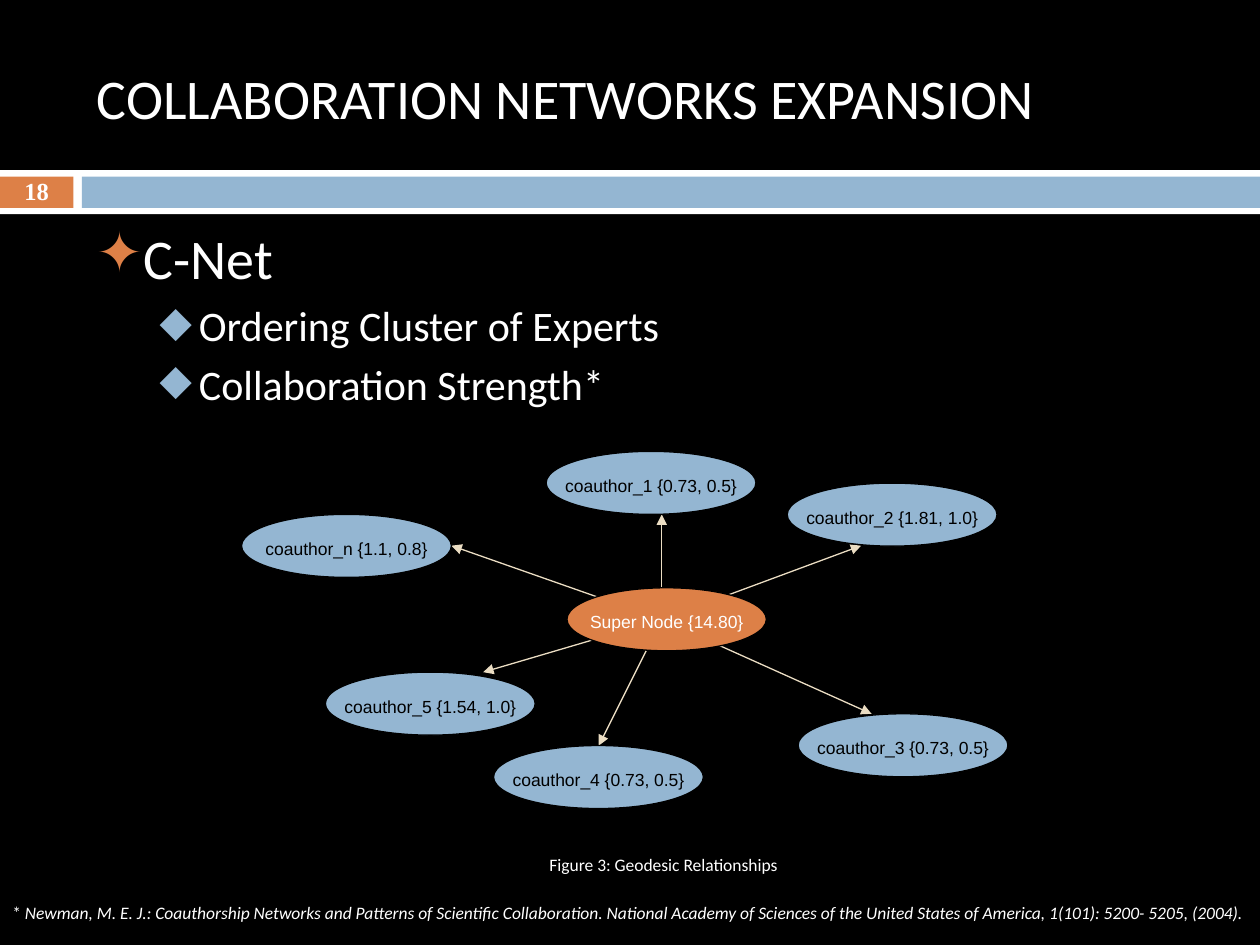
from lxml.etree import SubElement
from pptx import Presentation
from pptx.dml.color import RGBColor
from pptx.enum.shapes import MSO_CONNECTOR, MSO_SHAPE
from pptx.enum.text import MSO_ANCHOR, PP_ALIGN
from pptx.oxml.ns import qn
from pptx.util import Cm, Pt

HUES = {"black": "000000", "white": "FFFFFF", "blue": "94B6D2",
        "orange": "DD8047", "sand": "EBDDC3"}
NODE_W, NODE_H = 4.23, 1.27
# label, left and top of the node, tip of its arrow (cm within the network)
PEERS = [
    ("coauthor_1 {0.73, 0.5}", 6.14, 0, 8.47, 1.27),
    ("coauthor_2 {1.81, 1.0}", 11, 0.64, 12.49, 1.9),
    ("coauthor_3 {0.73, 0.5}", 11.22, 5.29, 12.7, 5.29),
    ("coauthor_4 {0.73, 0.5}", 5.08, 5.93, 7.2, 5.93),
    ("coauthor_5 {1.54, 1.0}", 1.69, 4.45, 4.87, 4.45),
    ("coauthor_n {1.1, 0.8}", 0, 1.27, 4.23, 1.9),
]
POINTS = [
    # level, text, size, bullet, bullet hue, margin, hang, space before
    (0, "C-Net", 32, "✦", "orange", 0.89, 0.89, 7),
    (1, "Ordering Cluster of Experts", 24, "◆", "blue", 2.06, 0.79, 5.5),
    (1, "Collaboration Strength*", 24, "◆", "blue", 2.06, 0.79, 5.5),
]


def hue(name):
    return RGBColor.from_string(HUES[name])


def box(x, y, w, h):
    return Cm(x), Cm(y), Cm(w), Cm(h)


def add_run(par, text, size, font="Calibri", color="white", bold=False, italic=False):
    run = par.add_run()
    run.text = text
    run.font.size = Pt(size)
    run.font.name = font
    run.font.bold = bold
    run.font.italic = italic
    run.font.color.rgb = hue(color)


def add_text(slide, area, anchor=MSO_ANCHOR.TOP, align=PP_ALIGN.LEFT):
    """Add a wrapping text box and return its frame."""
    frame = slide.shapes.add_textbox(*area).text_frame
    frame.word_wrap = True
    frame.vertical_anchor = anchor
    frame.paragraphs[0].alignment = align
    frame.paragraphs[0].line_spacing = 0.98
    return frame


def add_form(slide, kind, area, fill, line=None):
    form = slide.shapes.add_shape(kind, *area)
    form.shadow.inherit = False
    form.fill.solid()
    form.fill.fore_color.rgb = hue(fill)
    if line:
        form.line.color.rgb = hue(line)
        form.line.width = Pt(0.75)
    else:
        form.line.fill.background()
    return form


def add_band(slide, x, y, w, h, number):
    pad, tab, gap = 0.13, 1.48, 0.17
    bar = x + tab + gap
    for left, top, wide, high, fill in (
            (x, y, w, h, "white"),
            (x, y + pad, tab, h - 2 * pad, "orange"),
            (bar, y + pad, x + w - bar, h - 2 * pad, "blue")):
        add_form(slide, MSO_SHAPE.RECTANGLE, box(left, top, wide, high), fill)
    frame = add_text(slide, box(x, y + 0.02, tab, 0.84), MSO_ANCHOR.MIDDLE,
                     PP_ALIGN.CENTER)
    add_run(frame.paragraphs[0], number, 14, "Times New Roman", bold=True)


def set_title(slide, area, text):
    title = slide.shapes.title
    title.left, title.top, title.width, title.height = area
    frame = title.text_frame
    frame.vertical_anchor = MSO_ANCHOR.MIDDLE
    par = frame.paragraphs[0]
    par.alignment = PP_ALIGN.LEFT
    par.line_spacing = 0.98
    add_run(par, text, 32)


def set_bullet(par, char, color, margin, hang):
    props = par._p.get_or_add_pPr()
    props.set("marL", str(Cm(margin)))
    props.set("indent", str(-Cm(hang)))
    tint = SubElement(props, qn("a:buClr"))
    SubElement(tint, qn("a:srgbClr")).set("val", HUES[color])
    SubElement(props, qn("a:buChar")).set("char", char)


def add_points(slide, area):
    frame = add_text(slide, area)
    for i, (level, text, size, char, color, margin, hang, before) in enumerate(POINTS):
        par = frame.add_paragraph() if i else frame.paragraphs[0]
        par.level = level
        par.line_spacing = 0.97 if level else 0.98
        par.space_before = Pt(before)
        set_bullet(par, char, color, margin, hang)
        add_run(par, text, size)


def add_node(slide, area, text, fill, color):
    node = add_form(slide, MSO_SHAPE.OVAL, area, fill, "black")
    frame = node.text_frame
    frame.word_wrap = False
    frame.vertical_anchor = MSO_ANCHOR.MIDDLE
    par = frame.paragraphs[0]
    par.alignment = PP_ALIGN.CENTER
    par.line_spacing = 1.24
    add_run(par, text, 10, "Arial", color)


def add_arrow(slide, x1, y1, x2, y2):
    arrow = slide.shapes.add_connector(MSO_CONNECTOR.STRAIGHT, *box(x1, y1, x2, y2))
    arrow.line.color.rgb = hue("sand")
    arrow.line.width = Pt(0.75)
    SubElement(arrow.line._get_or_add_ln(), qn("a:tailEnd")).set("type", "triangle")
    SubElement(arrow._element.spPr, qn("a:effectLst"))


def add_network(slide, x, y):
    """Arrows fan out from behind the super node to its peers."""
    for text, left, top, tip_x, tip_y in PEERS:
        add_arrow(slide, x + 8.47, y + 3.39, x + tip_x, y + tip_y)
        add_node(slide, box(x + left, y + top, NODE_W, NODE_H), text, "blue", "black")
    add_node(slide, box(x + 6.56, y + 2.75, 4.02, NODE_H),
             "Super Node {14.80}", "orange", "white")


def add_note(slide, area):
    frame = add_text(slide, area)
    frame.margin_top = 0
    par = frame.paragraphs[0]
    add_run(par, "* ", 10)
    add_run(par, "Newman, M. E. J.: Coauthorship Networks and Patterns of Scientific "
            "Collaboration. National Academy of Sciences of the United States of "
            "America, 1(101): 5200- 5205, (2004).", 10, italic=True)


def main():
    deck = Presentation()
    deck.slide_width, deck.slide_height = Cm(25.4), Cm(19.05)
    slide = deck.slides.add_slide(deck.slide_layouts[5])
    slide.background.fill.solid()
    slide.background.fill.fore_color.rgb = hue("black")
    add_band(slide, 0, 3.43, 25.4, 0.89, "18")
    set_title(slide, box(1.7, 0.56, 22.66, 2.9), "COLLABORATION NETWORKS EXPANSION")
    add_points(slide, box(1.7, 4.45, 22.66, 4.45))
    add_network(slide, 4.87, 9.1)
    legend = add_text(slide, box(10.24, 17.12, 6.27, 0.66), align=PP_ALIGN.CENTER)
    add_run(legend.paragraphs[0], "Figure 3: Geodesic Relationships", 10)
    add_note(slide, box(0, 18.21, 25.4, 0.84))
    deck.save("out.pptx")


if __name__ == "__main__":
    main()
